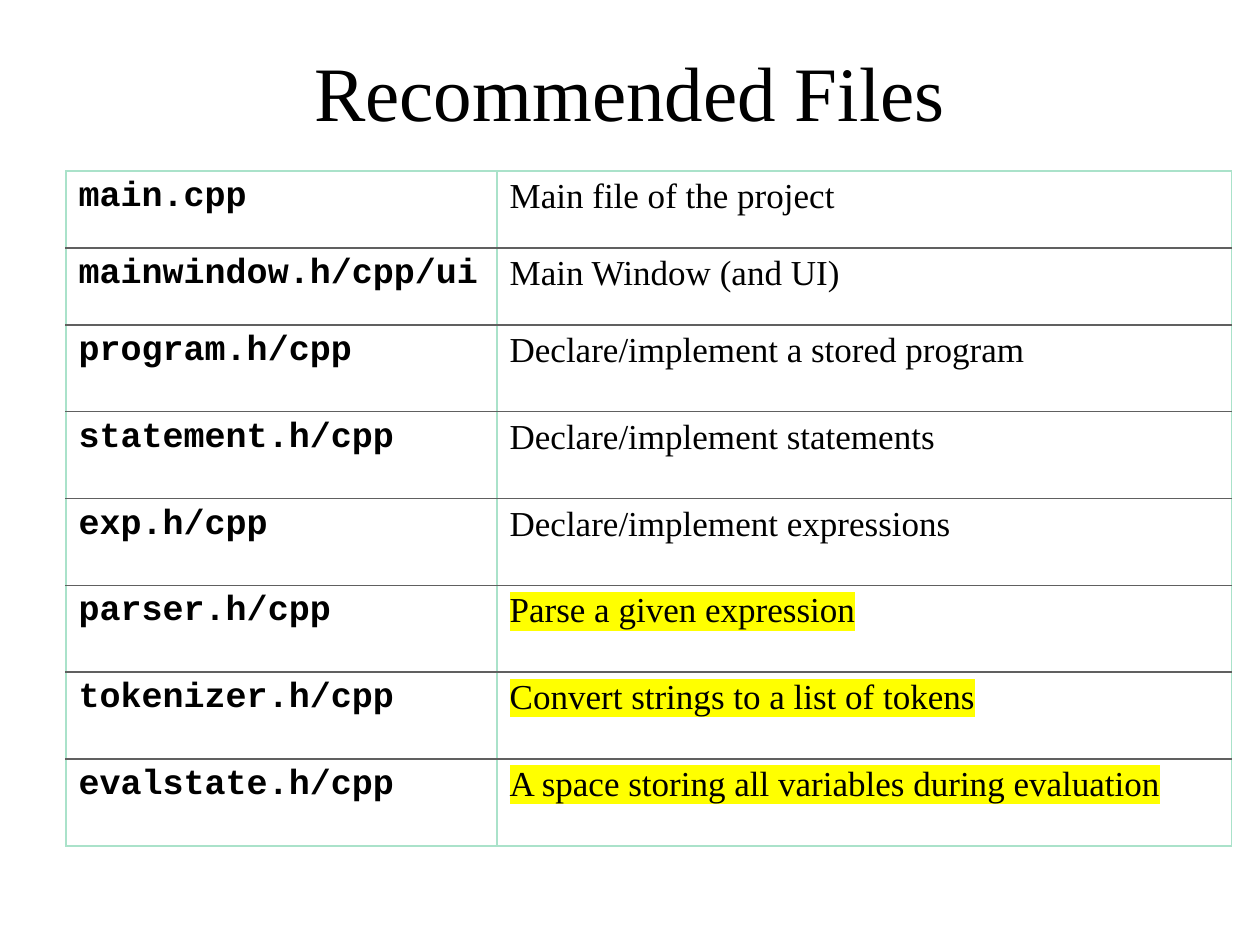
import pptx
import pptx.dml.color
import pptx.enum.text
import pptx.oxml
import pptx.oxml.ns
import pptx.util
from pptx.util import Cm

BLACK, MINT, GREY, YELLOW = "000000", "AAE2CA", "606060", "FFFF00"
SERIF, MONO = "Times New Roman", "Courier New"
FILES = [
    ("main.cpp", "Main file of the project", None),
    ("mainwindow.h/cpp/ui", "Main Window (and UI)", None),
    ("program.h/cpp", "Declare/implement a stored program", None),
    ("statement.h/cpp", "Declare/implement statements", None),
    ("exp.h/cpp", "Declare/implement expressions", None),
    ("parser.h/cpp", "Parse a given expression", YELLOW),
    ("tokenizer.h/cpp", "Convert strings to a list of tokens", YELLOW),
    ("evalstate.h/cpp", "A space storing all variables during evaluation", YELLOW),
]


def color(value):
    """Turn a hex string into a colour."""
    return pptx.dml.color.RGBColor.from_string(value)


def make_element(xml):
    """Parse a drawing element written with the a: prefix."""
    tag, rest = xml.split(" ", 1)
    return pptx.oxml.parse_xml(f"{tag} {pptx.oxml.ns.nsdecls('a')} {rest}")


def style_text(frame, font_name, size, bold=False, highlight=None):
    """Format every run of a text frame."""
    for para in frame.paragraphs:
        for span in para.runs:
            span.font.size = pptx.util.Pt(size)
            span.font.bold = bold
            span.font.color.rgb = color(BLACK)
            span.font.name = font_name
            if highlight:
                mark = make_element(f'<a:highlight ><a:srgbClr val="{highlight}"/></a:highlight>')
                span.font._element.find(pptx.oxml.ns.qn("a:latin")).addprevious(mark)


def add_title(page, text):
    """Add the centred heading."""
    box = page.shapes.add_textbox(Cm(1.9), Cm(0.76), Cm(21.6), Cm(2.13))
    frame = box.text_frame
    frame.word_wrap = True
    frame.vertical_anchor = pptx.enum.text.MSO_ANCHOR.MIDDLE
    frame.text = text
    frame.paragraphs[0].alignment = pptx.enum.text.PP_ALIGN.CENTER
    style_text(frame, SERIF, 44)


def set_borders(cell, top, bottom):
    """Draw mint sides and the given top and bottom lines."""
    sides = {"lnL": MINT, "lnR": MINT, "lnT": top, "lnB": bottom}
    properties = cell._tc.get_or_add_tcPr()
    for index, (side, value) in enumerate(sides.items()):
        line = make_element(
            f'<a:{side} w="12700"><a:solidFill><a:srgbClr val="{value}"/></a:solidFill></a:{side}>')
        properties.insert(index, line)


def add_file_table(page):
    """Add the table of file names and their purposes."""
    last = len(FILES) - 1
    heights = [1.55] * 2 + [1.75] * (last - 1)
    table = page.shapes.add_table(
        len(FILES), 2, Cm(1.33), Cm(3.45), Cm(23.5), Cm(sum(heights))).table
    table.first_row = False
    table.horz_banding = False
    for column, width in zip(table.columns, (8.69, 14.81)):
        column.width = Cm(width)
    for index, (name, purpose, highlight) in enumerate(FILES):
        table.rows[index].height = Cm(heights[index])
        name_cell, purpose_cell = table.rows[index].cells
        name_cell.text_frame.text = name
        purpose_cell.text_frame.text = purpose
        style_text(name_cell.text_frame, MONO, 20, bold=True)
        style_text(purpose_cell.text_frame, SERIF, 20, highlight=highlight)
        for cell in (name_cell, purpose_cell):
            cell.fill.background()
            set_borders(cell, GREY if index else MINT, GREY if index < last else MINT)


def main():
    """Build and save the slide."""
    deck = pptx.Presentation()
    deck.slide_width, deck.slide_height = Cm(25.4), Cm(19.05)
    page = deck.slides.add_slide(deck.slide_layouts[6])
    add_title(page, "Recommended Files")
    add_file_table(page)
    deck.save("out.pptx")


if __name__ == "__main__":
    main()
